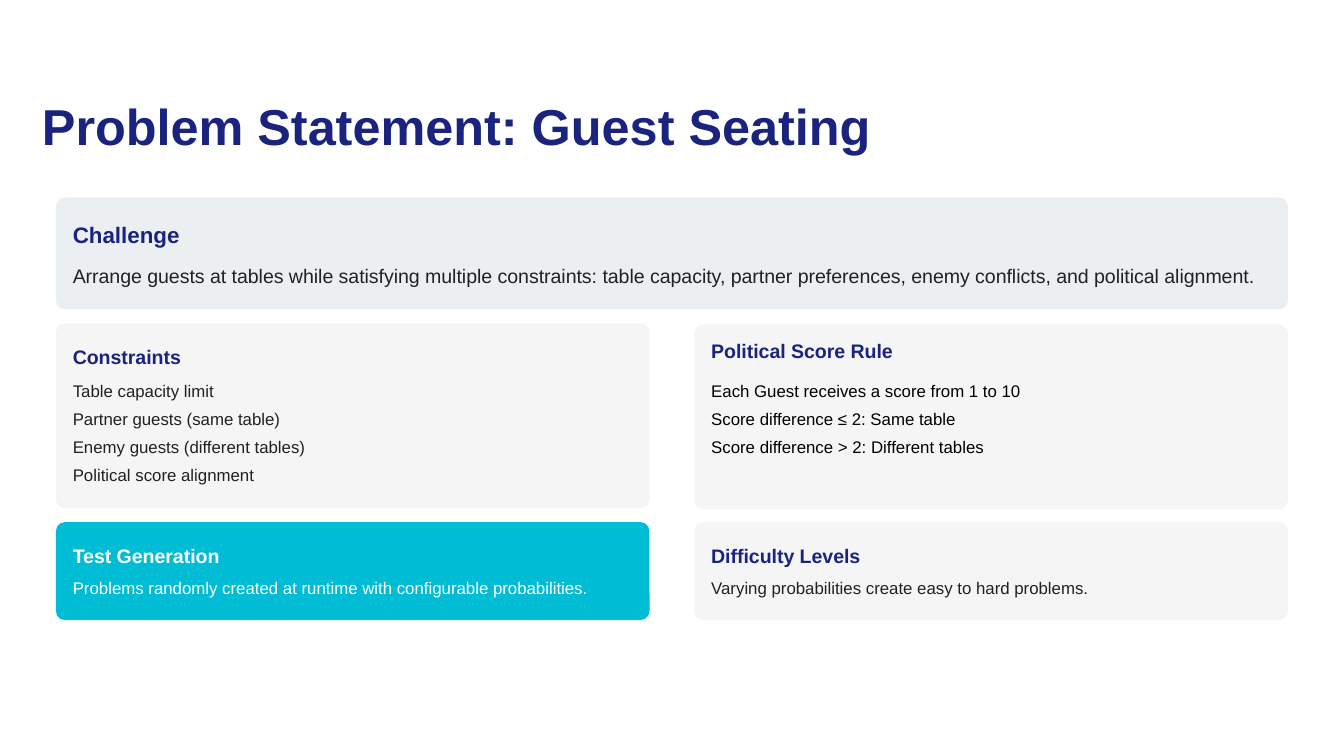
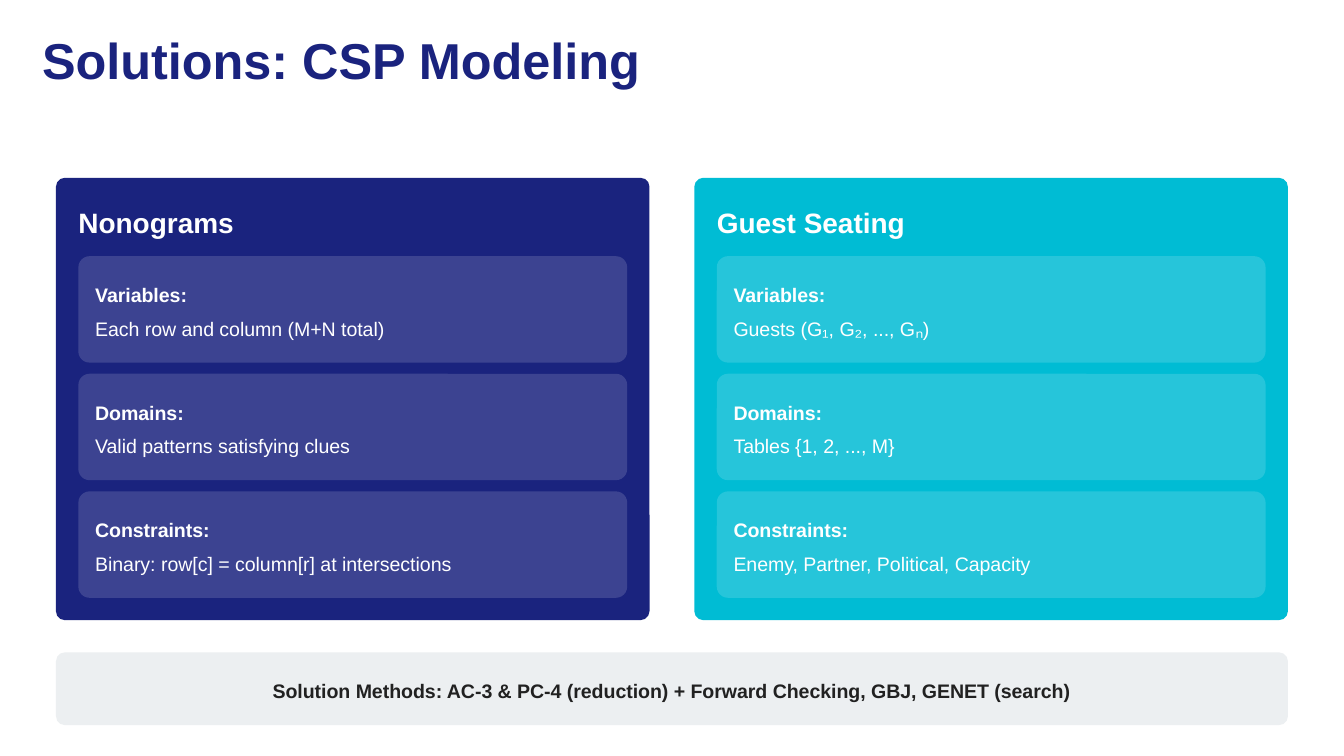
from lxml.etree import SubElement
from pptx import Presentation
from pptx.dml.color import RGBColor
from pptx.enum.shapes import MSO_SHAPE
from pptx.enum.text import PP_ALIGN
from pptx.oxml.ns import qn
from pptx.util import Pt

NAVY, CYAN, WHITE = "1A237E", "00BCD4", "FFFFFF"
INK, BLACK = "212121", "000000"
MIST, PALE = "ECEFF1", "F5F5F5"

FONT = "Arial"
LINE_HEIGHTS = {27: 30, 15: 21, 12: 18, 10.5: 15, 9: 12}
FULL_WIDTH, COLUMN_WIDTH = 660, 318
LEFT, RIGHT = 30, 372
PADDING = 9
CARD_RADIUS, ITEM_RADIUS = 4.8, 6

SEATING_TITLE = ("Problem Statement: Guest Seating", 53.5, 453.5)
SEATING_CARDS = [
    dict(left=LEFT, top=105.75, width=FULL_WIDTH, height=60, fill=MIST,
         heading="Challenge", heading_size=12, body_top=139, body_size=10.5,
         lines=["Arrange guests at tables while satisfying multiple constraints: table capacity, "
                "partner preferences, enemy conflicts, and political alignment."]),
    dict(left=LEFT, top=173.25, height=99, heading="Constraints", body_top=203,
         lines=["Table capacity limit", "Partner guests (same table)",
                "Enemy guests (different tables)", "Political score alignment"]),
    dict(left=RIGHT, top=173.75, height=99, heading="Political Score Rule",
         heading_top=179.25, body_top=203, body_color=BLACK,
         lines=["Each Guest receives a score from 1 to 10", "Score difference ≤ 2: Same table",
                "Score difference > 2: Different tables"]),
    dict(left=LEFT, top=279.75, height=52.5, fill=CYAN, heading="Test Generation",
         heading_color=WHITE, body_top=308.25, body_color=WHITE,
         lines=["Problems randomly created at runtime with configurable probabilities."]),
    dict(left=RIGHT, top=279.75, height=52.5, heading="Difficulty Levels", body_top=308.25,
         lines=["Varying probabilities create easy to hard problems."]),
]

MODELING_TITLE = ("Solutions: CSP Modeling", 18, 345)
ITEM_LABELS = ["Variables:", "Domains:", "Constraints:"]
MODELS = [
    (LEFT, NAVY, "Nonograms",
     ["Each row and column (M+N total)", "Valid patterns satisfying clues",
      "Binary: row[c] = column[r] at intersections"]),
    (RIGHT, CYAN, "Guest Seating",
     ["Guests (G₁, G₂, ..., Gₙ)", "Tables {1, 2, ..., M}",
      "Enemy, Partner, Political, Capacity"]),
]
METHODS = "Solution Methods: AC-3 & PC-4 (reduction) + Forward Checking, GBJ, GENET (search)"


def rgb(color):
    return RGBColor.from_string(color)


def add_card(page, left, top, width, height, fill, radius=CARD_RADIUS, opacity=None):
    card = page.shapes.add_shape(MSO_SHAPE.ROUNDED_RECTANGLE,
                                 Pt(left), Pt(top), Pt(width), Pt(height))
    card.adjustments[0] = radius / height
    card.shadow.inherit = False
    card.line.fill.background()
    card.fill.solid()
    card.fill.fore_color.rgb = rgb(fill)
    if opacity is not None:
        color = card.fill._xPr.find(qn("a:solidFill"))[0]
        SubElement(color, qn("a:alpha")).set("val", str(opacity * 1000))


def add_text(page, text, left, top, width, size, color, bold=False, align=PP_ALIGN.LEFT):
    line_height = LINE_HEIGHTS[size]
    box = page.shapes.add_textbox(Pt(left), Pt(top), Pt(width), Pt(line_height))
    frame = box.text_frame
    frame.word_wrap = True
    frame.margin_left = frame.margin_right = frame.margin_top = frame.margin_bottom = 0
    para = frame.paragraphs[0]
    para.text = text
    para.alignment = align
    para.line_spacing = Pt(line_height)
    para.font.name = FONT
    para.font.size = Pt(size)
    para.font.bold = bold
    para.font.color.rgb = rgb(color)


def add_page(deck, title, top, width):
    page = deck.slides.add_slide(deck.slide_layouts[6])
    page.background.fill.solid()
    page.background.fill.fore_color.rgb = rgb(WHITE)
    add_text(page, title, 22.5, top, width, 27, NAVY, bold=True)
    return page


def add_topic(page, left, top, height, heading, lines, body_top, width=COLUMN_WIDTH,
              fill=PALE, heading_top=None, heading_size=10.5, heading_color=NAVY,
              body_size=9, body_color=INK):
    add_card(page, left, top, width, height, fill)
    text_left, text_width = left + PADDING, width - 12
    if heading_top is None:
        heading_top = top + PADDING
    add_text(page, heading, text_left, heading_top, text_width,
             heading_size, heading_color, bold=True)
    pitch = LINE_HEIGHTS[body_size] + 3
    for row, line in enumerate(lines):
        add_text(page, line, text_left, body_top + row * pitch, text_width,
                 body_size, body_color)


def add_model(page, left, fill, heading, values):
    panel_top, inset, item_height, item_gap = 95.25, 12, 57, 6
    item_left, item_width = left + inset, COLUMN_WIDTH - 2 * inset
    text_left, text_width = item_left + PADDING, item_width - 12
    add_card(page, left, panel_top, COLUMN_WIDTH, 237, fill)
    add_text(page, heading, item_left, panel_top + inset, 150, 15, WHITE, bold=True)
    for row, (label, value) in enumerate(zip(ITEM_LABELS, values)):
        top = panel_top + 42 + row * (item_height + item_gap)
        add_card(page, item_left, top, item_width, item_height, WHITE, ITEM_RADIUS, opacity=15)
        add_text(page, label, text_left, top + 12, text_width, 10.5, WHITE, bold=True)
        add_text(page, value, text_left, top + 30, text_width, 10.5, WHITE)


def main():
    deck = Presentation()
    deck.slide_width, deck.slide_height = Pt(720), Pt(405)

    page = add_page(deck, *SEATING_TITLE)
    for card in SEATING_CARDS:
        add_topic(page, **card)

    page = add_page(deck, *MODELING_TITLE)
    for model in MODELS:
        add_model(page, *model)
    add_card(page, LEFT, 349.5, FULL_WIDTH, 39, MIST)
    add_text(page, METHODS, 32.5, 361.5, 655, 10.5, INK, bold=True, align=PP_ALIGN.CENTER)

    deck.save("out.pptx")


if __name__ == "__main__":
    main()
